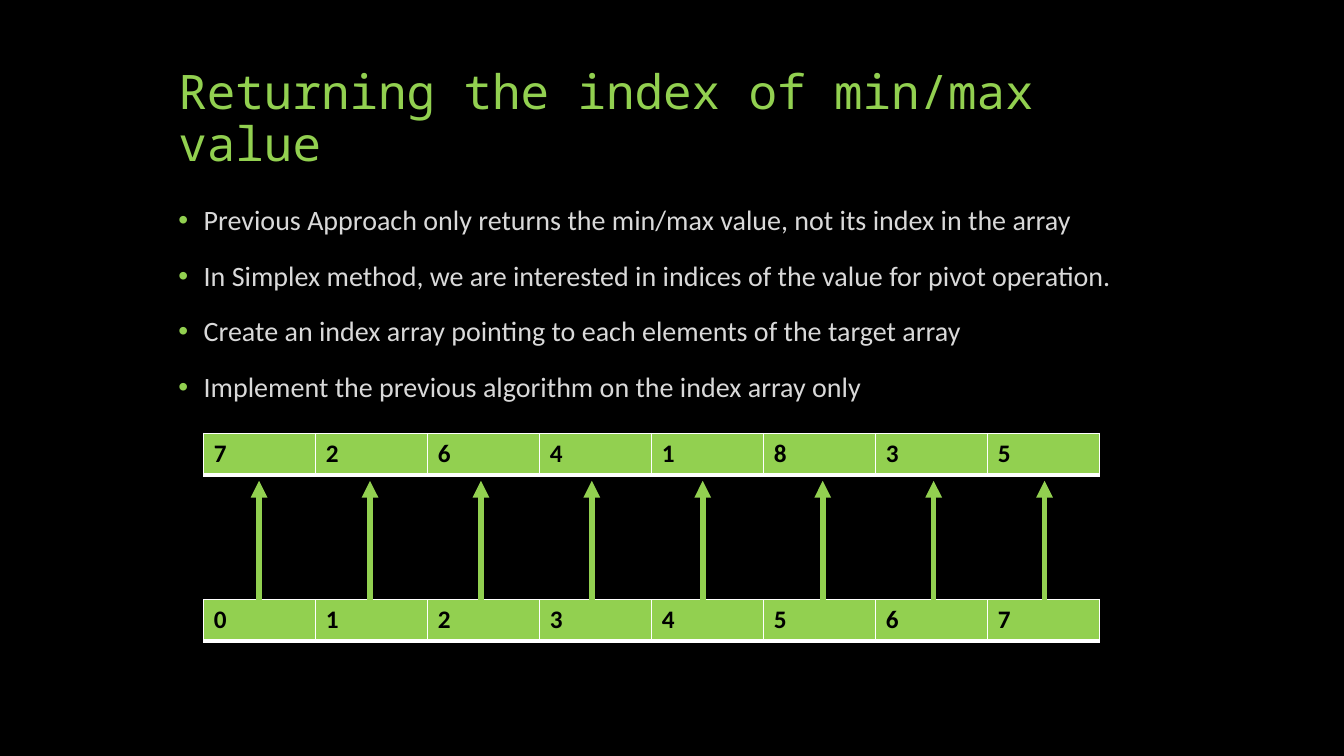
from dataclasses import dataclass

from lxml import etree
from pptx import Presentation
from pptx import util as u
from pptx.dml.color import RGBColor
from pptx.enum import shapes, text
from pptx.oxml import ns


@dataclass(frozen=True)
class Theme:
    back: str = "000000"
    green: str = "92D050"
    pale: str = "D9D9D9"
    white: str = "FFFFFF"
    dark: str = "000000"
    mono: str = "Noto Sans Mono"
    sans: str = "Calibri"
    head: int = 34
    body: int = 20
    cell: int = 18


def rgb(code):
    return RGBColor.from_string(code)


def add(node, tag, **attrs):
    return etree.SubElement(node, ns.qn(tag), attrs)


class Deck:
    def __init__(self, theme):
        self.theme = theme
        self.prs = Presentation()
        self.prs.slide_width = u.Inches(13.33)
        self.prs.slide_height = u.Inches(7.5)
        self.slide = self.prs.slides.add_slide(self.prs.slide_layouts[1])
        fill = self.slide.background.fill
        fill.solid()
        fill.fore_color.rgb = rgb(theme.back)

    def run(self, para, words, size, face, color, bold=False):
        run = para.add_run()
        run.text = words
        font = run.font
        font.size = u.Pt(size)
        font.name = face
        font.bold = bold
        font.color.rgb = rgb(color)

    def frame(self, holder, left, top, width, height, anchor):
        holder.left, holder.top = u.Inches(left), u.Inches(top)
        holder.width, holder.height = u.Inches(width), u.Inches(height)
        frame = holder.text_frame
        frame.word_wrap = True
        frame.auto_size = text.MSO_AUTO_SIZE.NONE
        frame.vertical_anchor = anchor
        return frame

    def title(self, words, *box):
        t = self.theme
        frame = self.frame(self.slide.shapes.title, *box, text.MSO_ANCHOR.BOTTOM)
        para = frame.paragraphs[0]
        para.alignment = text.PP_ALIGN.LEFT
        para.line_spacing = 0.9
        self.run(para, words, t.head, t.mono, t.green)

    def bullets(self, items, *box):
        t = self.theme
        frame = self.frame(self.slide.placeholders[1], *box, text.MSO_ANCHOR.TOP)
        for i, words in enumerate(items):
            para = frame.add_paragraph() if i else frame.paragraphs[0]
            para.line_spacing = 0.9
            para.space_before = u.Pt(18)
            props = para._p.get_or_add_pPr()
            props.set("marL", str(u.Inches(0.25)))
            props.set("indent", str(u.Inches(-0.25)))
            add(add(props, "a:buClr"), "a:srgbClr", val=t.green)
            add(props, "a:buFont", typeface="Arial")
            add(props, "a:buChar", char="•")
            self.run(para, words, t.body, t.sans, t.pale)

    def edges(self, cell):
        props = cell._tc.get_or_add_tcPr()
        for side, width in (("L", 1), ("R", 1), ("T", 1), ("B", 3)):
            line = add(props, f"a:ln{side}", w=str(u.Pt(width)))
            add(add(line, "a:solidFill"), "a:srgbClr", val=self.theme.white)

    def array(self, values, left, top, width, height):
        t = self.theme
        table = self.slide.shapes.add_table(
            1, len(values), u.Inches(left), u.Inches(top),
            u.Inches(width), u.Inches(height)).table
        for cell, value in zip(table.rows[0].cells, values):
            self.edges(cell)
            cell.fill.solid()
            cell.fill.fore_color.rgb = rgb(t.green)
            para = cell.text_frame.paragraphs[0]
            self.run(para, str(value), t.cell, t.sans, t.dark, True)

    def arrow(self, x, start, end):
        link = self.slide.shapes.add_connector(
            shapes.MSO_CONNECTOR.STRAIGHT, u.Inches(x), u.Inches(start),
            u.Inches(x), u.Inches(end))
        link.line.color.rgb = rgb(self.theme.green)
        link.line.width = u.Pt(4)
        add(link.line._get_or_add_ln(), "a:tailEnd", type="triangle")
        add(link._element.spPr, "a:effectLst")


def main():
    deck = Deck(Theme())
    deck.title("Returning the index of min/max value", 1.67, 0.5, 10, 1.25)
    deck.bullets([
        "Previous Approach only returns the min/max value, not its index in the array",
        "In Simplex method, we are interested in indices of the value for pivot operation.",
        "Create an index array pointing to each elements of the target array",
        "Implement the previous algorithm on the index array only",
    ], 1.67, 2, 10, 4.67)
    values = [7, 2, 6, 4, 1, 8, 3, 5]
    deck.array(values, 2.02, 4.3, 8.89, 0.41)
    deck.array(range(len(values)), 2.02, 5.95, 8.89, 0.41)
    for first, count in ((2.57, 5), (8.16, 3)):
        for i in range(count):
            deck.arrow(first + 1.1 * i, 5.95, 4.77)
    deck.prs.save("out.pptx")


if __name__ == "__main__":
    main()
